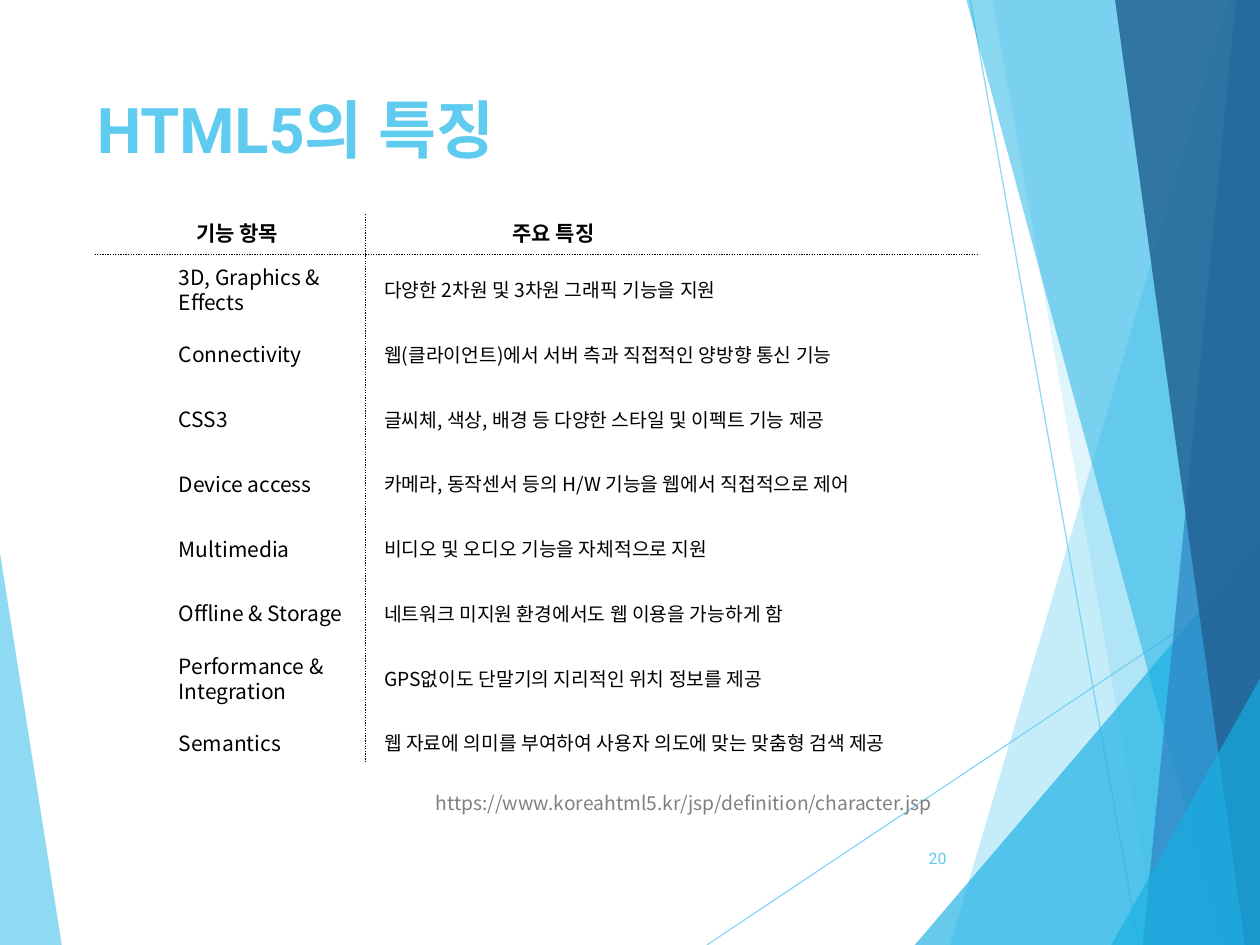
from lxml import etree
from pptx import Presentation
from pptx.dml.color import RGBColor
from pptx.enum import dml, shapes, text
from pptx.oxml.ns import qn
from pptx.util import Inches, Pt

BODY_FONT = "Noto Sans CJK KR"
TITLE_FONT = "Roboto"
SKY, CYAN, BLUE, NAVY = "5FCBEF", "17B0E4", "2E83C3", "226292"
BLACK, GRAY = "000000", "808080"

FEATURES = [
    (["3D, Graphics &", "Effects"], 1.42, "다양한 2차원 및 3차원 그래픽 기능을 지원", 3.03),
    (["Connectivity"], 1.22, "웹(클라이언트)에서 서버 측과 직접적인 양방향 통신 기능", 4),
    (["CSS3"], 0.62, "글씨체, 색상, 배경 등 다양한 스타일 및 이펙트 기능 제공", 3.99),
    (["Device access"], 1.33, "카메라, 동작센서 등의 H/W 기능을 웹에서 직접적으로 제어", 4.19),
    (["Multimedia"], 1.1, "비디오 및 오디오 기능을 자체적으로 지원", 2.96),
    (["Offline & Storage"], 1.59, "네트워크 미지원 환경에서도 웹 이용을 가능하게 함", 3.6),
    (["Performance &", "Integration"], 1.42, "GPS없이도 단말기의 지리적인 위치 정보를 제공", 3.41),
    (["Semantics"], 1.04, "웹 자료에 의미를 부여하여 사용자 의도에 맞는 맞춤형 검색 제공", 4.49),
]

FACETS = [
    ([(9.75, 0), (7.54, 7.5), (10.02, 7.51), (10.01, 0)], SKY, 36),
    ([(7.88, 0), (9.19, 7.5), (10.01, 7.5), (10.01, 0)], SKY, 20),
    ([(7.26, 7.5), (10, 4.29), (10.01, 7.5)], CYAN, 66),
    ([(7.67, 0), (9.7, 7.5), (10.01, 7.5), (10.01, 0)], CYAN, 50),
    ([(9.81, 0), (9.07, 7.5), (10.01, 7.5), (10, 0)], BLUE, 70),
    ([(8.85, 0), (9.88, 7.5), (10.02, 7.5), (10, 0)], NAVY, 82),
    ([(8.82, 7.5), (10.02, 5.35), (10.02, 7.5)], CYAN, 66),
]


def set_color(color_format, value, opacity=100):
    color_format.rgb = RGBColor.from_string(value)
    if opacity < 100:
        for color in color_format._xFill.iter(qn("a:srgbClr")):
            etree.SubElement(color, qn("a:alpha")).set("val", str(opacity * 1000))


def add_polygon(slide, points, color, opacity):
    corners = [(Inches(x), Inches(y)) for x, y in points]
    builder = slide.shapes.build_freeform(*corners[0])
    builder.add_line_segments(corners[1:], close=True)
    shape = builder.convert_to_shape()
    shape.shadow.inherit = False
    shape.line.fill.background()
    shape.fill.solid()
    set_color(shape.fill.fore_color, color, opacity)


def add_line(slide, start, end, color, opacity=100, dash=None):
    ends = [Inches(value) for value in (*start, *end)]
    connector = slide.shapes.add_connector(shapes.MSO_CONNECTOR.STRAIGHT, *ends)
    connector.line.width = Pt(0.75)
    connector.line.fill.solid()
    set_color(connector.line.fill.fore_color, color, opacity)
    if dash:
        connector.line.dash_style = dash
    etree.SubElement(connector._element.spPr, qn("a:effectLst"))


def add_text(slide, box, lines, size, color=BLACK, font=BODY_FONT, bold=False,
             wrap=False, align=text.PP_ALIGN.LEFT, anchor=text.MSO_ANCHOR.TOP):
    frame = slide.shapes.add_textbox(*[Inches(value) for value in box]).text_frame
    frame.word_wrap = wrap
    frame.auto_size = text.MSO_AUTO_SIZE.NONE if wrap else text.MSO_AUTO_SIZE.SHAPE_TO_FIT_TEXT
    frame.vertical_anchor = anchor
    for index, line in enumerate(lines):
        paragraph = frame.add_paragraph() if index else frame.paragraphs[0]
        paragraph.alignment = align
        run = paragraph.add_run()
        run.text = line
        run.font.size = Pt(size)
        run.font.bold = bold
        run.font.name = font
        set_color(run.font.color, color)
        east_asian = etree.SubElement(run._r.get_or_add_rPr(), qn("a:ea"))
        east_asian.set("typeface", font)


def add_backdrop(slide, width, height):
    add_polygon(slide, [(0, 4.39), (0.49, height), (0, height)], SKY, 70)
    add_line(slide, (5.61, height), (width, 4.57), SKY, 70)
    add_line(slide, (7.7, 0), (9.04, height), SKY, 70)
    for points, color, opacity in FACETS:
        add_polygon(slide, points, color, opacity)


def add_feature_grid(slide, left, top, width, height):
    name_left, detail_left = left + 0.57, left + 2.2
    first_center, row_pitch = top + 0.6, 0.514
    for index, (names, name_width, detail, detail_width) in enumerate(FEATURES):
        center = first_center + index * row_pitch
        name_height = 0.1 + 0.2 * len(names)
        add_text(slide, (name_left, center - name_height / 2, name_width, name_height), names, 12)
        add_text(slide, (detail_left, center - 0.14, detail_width, 0.29), [detail], 11)
    add_text(slide, (left + 0.71, top, 0.93, 0.3), ["기능 항목"], 12, bold=True)
    add_text(slide, (left + 3.22, top, 0.91, 0.3), ["주요 특징"], 12, bold=True)
    rule, divider = top + 0.32, left + 2.15
    dots = dml.MSO_LINE.ROUND_DOT
    add_line(slide, (left, rule), (left + width, rule), BLACK, dash=dots)
    add_line(slide, (divider, top), (divider, top + height), BLACK, dash=dots)


def add_footer(slide, right, top):
    add_text(slide, (right - 4.4, top, 4.4, 0.29),
             ["https://www.koreahtml5.kr/jsp/definition/character.jsp"], 11, GRAY)
    add_text(slide, (right - 0.71, top + 0.38, 0.56, 0.4), ["20"], 9, SKY, TITLE_FONT,
             wrap=True, align=text.PP_ALIGN.RIGHT, anchor=text.MSO_ANCHOR.MIDDLE)


def main():
    presentation = Presentation()
    presentation.slide_width, presentation.slide_height = Inches(10), Inches(7.5)
    slide = presentation.slides.add_slide(presentation.slide_layouts[6])
    add_backdrop(slide, 10, 7.5)
    add_text(slide, (0.67, 0.67, 6.94, 1.44), ["HTML5의 특징"], 36, SKY, TITLE_FONT,
             bold=True, wrap=True)
    add_feature_grid(slide, 0.75, 1.7, 7.01, 4.36)
    add_footer(slide, 7.76, 6.23)
    presentation.save("out.pptx")


if __name__ == "__main__":
    main()
